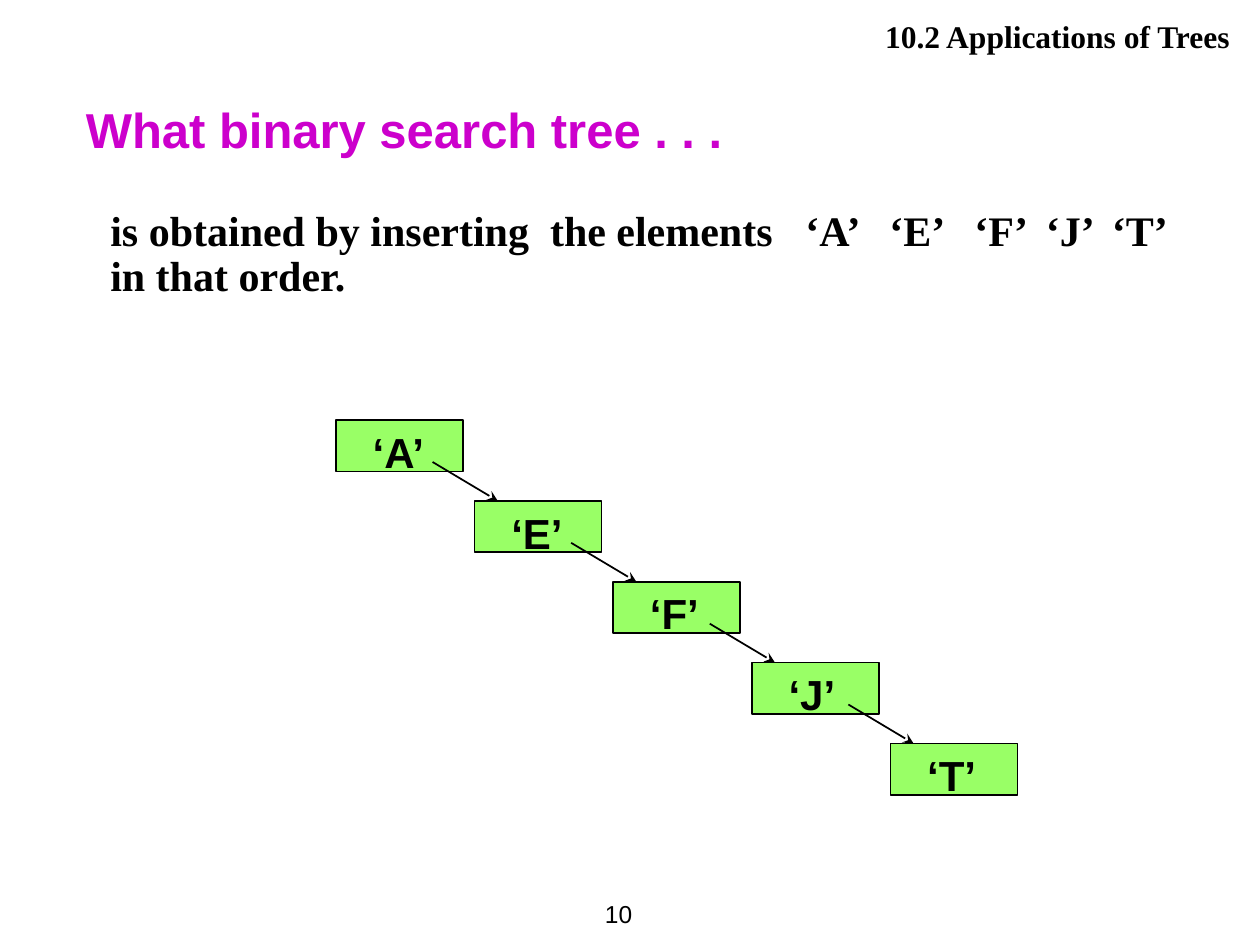
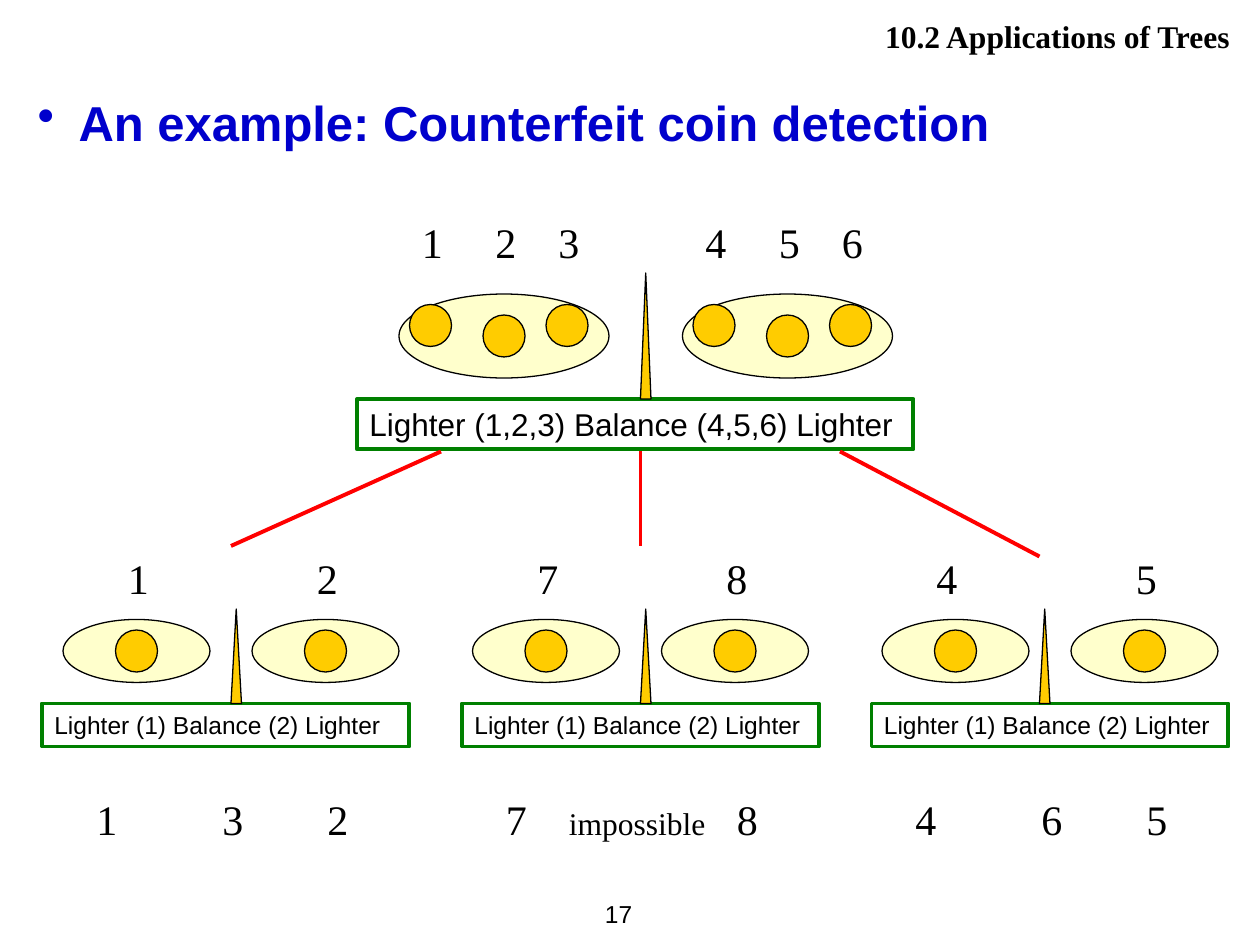
from lxml.etree import SubElement
from pptx import Presentation
from pptx.dml.color import RGBColor
from pptx.enum.shapes import MSO_CONNECTOR, MSO_SHAPE
from pptx.enum.text import MSO_ANCHOR, PP_ALIGN
from pptx.oxml.ns import qn
from pptx.util import Pt

SCALE = 7620  # EMU per px, 120 px to the inch

BLACK = RGBColor(0x00, 0x00, 0x00)
PURPLE = RGBColor(0xCC, 0x00, 0xCC)
BLUE = RGBColor(0x00, 0x00, 0xCC)
LIME = RGBColor(0x99, 0xFF, 0x66)
GREEN = RGBColor(0x00, 0x80, 0x00)
GOLD = RGBColor(0xFF, 0xCC, 0x00)
CREAM = RGBColor(0xFF, 0xFF, 0xCC)
RED = RGBColor(0xFF, 0x00, 0x00)
SANS, SERIF = "Arial", "Times New Roman"


def px(*sizes):
    return [size * SCALE for size in sizes]


def add_run(para, words, size, font=SANS, color=BLACK, bold=False):
    run = para.add_run()
    run.text = words
    run.font.size = Pt(size)
    run.font.name = font
    run.font.bold = bold
    run.font.color.rgb = color


def set_tabs(para, stops):
    tabs = SubElement(para._p.get_or_add_pPr(), qn("a:tabLst"))
    for stop in px(*stops):
        SubElement(tabs, qn("a:tab"), pos=str(stop), algn="l")


def add_text(slide, box, *runs, align=PP_ALIGN.LEFT, anchor=MSO_ANCHOR.TOP,
             tabs=()):
    frame = slide.shapes.add_textbox(*px(*box)).text_frame
    frame.word_wrap = True
    frame.vertical_anchor = anchor
    para = frame.paragraphs[0]
    para.alignment = align
    for run in runs:
        add_run(para, *run)
    if tabs:
        set_tabs(para, tabs)
    return frame


def add_form(slide, kind, box, fill, line=BLACK, width=0.75):
    form = slide.shapes.add_shape(kind, *px(*box))
    form.shadow.inherit = False
    if fill is None:
        form.fill.background()
    else:
        form.fill.solid()
        form.fill.fore_color.rgb = fill
    form.line.color.rgb = line
    form.line.width = Pt(width)
    frame = form.text_frame
    frame.word_wrap = True
    frame.vertical_anchor = MSO_ANCHOR.TOP
    frame.paragraphs[0].alignment = PP_ALIGN.LEFT
    return form


def add_line(slide, start, end, color, width, arrow=False):
    line = slide.shapes.add_connector(MSO_CONNECTOR.STRAIGHT,
                                      *px(*start, *end))
    line.line.color.rgb = color
    line.line.width = Pt(width)
    if arrow:
        SubElement(line.line._get_or_add_ln(), qn("a:tailEnd"),
                   type="stealth")
    SubElement(line._element.spPr, qn("a:effectLst"))


def add_page(deck, number):
    """Blank slide with the running header and the page number."""
    slide = deck.slides.add_slide(deck.slide_layouts[6])
    add_text(slide, (478, 10, 705, 48),
             ("10.2 Applications of Trees", 18, SERIF, BLACK, True),
             align=PP_ALIGN.RIGHT)
    add_text(slide, (534, 840, 80, 60), (number, 14),
             align=PP_ALIGN.RIGHT, anchor=MSO_ANCHOR.MIDDLE)
    return slide


def add_title(slide, box, words, color, anchor=MSO_ANCHOR.TOP, bullet=False):
    frame = add_text(slide, box, (words, 28, SANS, color, True),
                     anchor=anchor)
    if bullet:
        props = frame.paragraphs[0]._p.get_or_add_pPr()
        hang = px(39)[0]
        props.set("marL", str(hang))
        props.set("indent", str(-hang))
        SubElement(props, qn("a:buChar"), char="•")


# Tree slide
def add_task(slide, box, keys):
    style = (24, SERIF, BLACK, True)
    frame = add_text(slide, box,
                     ("is obtained by inserting  the elements", *style),
                     tabs=(662, 742, 823, 891, 954))
    frame.margin_left = px(53)[0]
    para = frame.paragraphs[0]
    para.line_spacing = 0.9
    para.space_before = Pt(6)
    for key in keys:
        add_run(para, "\t" + key, *style)
    para.add_line_break()
    add_run(para, "in that order.", *style)


def add_chain(slide, left, top, keys):
    """Nodes that step down to the right, each linked to the one before."""
    for i, key in enumerate(keys):
        x, y = left + 132 * i, top + 77 * i
        node = add_form(slide, MSO_SHAPE.RECTANGLE, (x, y, 121, 49), LIME,
                        width=1)
        frame = node.text_frame
        frame.margin_left, frame.margin_right, frame.margin_bottom = px(35, 0, 0)
        add_run(frame.paragraphs[0], key, 24, SANS, BLACK, True)
    for i in range(1, len(keys)):
        x, y = left + 132 * i, top + 77 * i
        add_line(slide, (x - 40, y - 37), (x + 22, y), BLACK, 1, arrow=True)


def tree_slide(deck):
    slide = add_page(deck, "10")
    keys = ["‘A’", "‘E’", "‘F’", "‘J’", "‘T’"]
    add_title(slide, (70, 72, 1050, 85), "What binary search tree . . .",
              PURPLE, MSO_ANCHOR.BOTTOM)
    add_task(slide, (52, 194, 1120, 127), keys)
    add_chain(slide, 320, 400, keys)


# Coin slide
def add_bar(slide, box, words, size):
    bar = add_form(slide, MSO_SHAPE.RECTANGLE, box, None, GREEN, 2.25)
    add_run(bar.text_frame.paragraphs[0], words, size)


def add_post(slide, box):
    add_form(slide, MSO_SHAPE.ISOSCELES_TRIANGLE, box, GOLD)


def add_pan(slide, box, coins, digits, rise, nudge=0):
    """Dish with coins; the digits stand above it, one over each coin."""
    x, y, wide, _ = box
    add_form(slide, MSO_SHAPE.OVAL, box, CREAM)
    for dx, dy in coins:
        add_form(slide, MSO_SHAPE.OVAL, (x + dx, y + dy, 40, 40), GOLD)
    first = coins[0][0]
    add_text(slide, (x + first + nudge, y - rise, wide - first, 60),
             ("\t".join(digits), 24, SERIF),
             tabs=[dx - first for dx, _ in coins[1:]])


def first_weigh(slide, left, top):
    add_bar(slide, (left, top + 180, 530, 48),
            "Lighter (1,2,3) Balance (4,5,6) Lighter", 18)
    add_post(slide, (left + 270, top + 60, 10, 120))
    for dx, digits in ((40, "123"), (310, "456")):
        add_pan(slide, (left + dx, top + 80, 200, 80),
                [(10, 10), (80, 20), (140, 10)], digits, 80)


def next_weigh(slide, left, top, bar, post, digits, nudge):
    """Second weighing; bar is (offset, width), post an offset from left."""
    add_bar(slide, (left + bar[0], top + 150, bar[1], 41),
            "Lighter (1) Balance (2) Lighter", 14)
    add_post(slide, (left + post, top + 60, 10, 90))
    for i, digit in enumerate(digits):
        add_pan(slide, (left + 180 * i, top + 70, 140, 60), [(50, 10)],
                digit, 70, 0 if i else nudge)


def add_result(slide, left, top, low, even, high):
    plain = len(even) == 1
    add_text(slide, (left, top, 280, 60), (low, 24, SERIF),
             ("\t" + even, 24 if plain else 18, SERIF),
             ("\t" + high, 24, SERIF), tabs=(120 if plain else 60, 220))


def coin_slide(deck):
    slide = add_page(deck, "17")
    add_title(slide, (24, 82, 1080, 92),
              "An example: Counterfeit coin detection", BLUE, bullet=True)
    first_weigh(slide, 340, 200)
    cases = [((-20, 350), 160, "12", 0, "3"),
             ((-10, 340), 160, "78", 0, "impossible"),
             ((-10, 340), 150, "45", -10, "6")]
    for i, (bar, post, digits, nudge, even) in enumerate(cases):
        left = 60 + 390 * i
        next_weigh(slide, left, 520, bar, post, digits, nudge)
        add_result(slide, left + 20, 750, digits[0], even, digits[1])
    # Branches
    for start, end in (((420, 430), (220, 520)), ((610, 430), (610, 520)),
                       ((800, 430), (990, 530))):
        add_line(slide, start, end, RED, 2.25)


def main():
    deck = Presentation()
    deck.slide_width, deck.slide_height = px(1200, 900)
    tree_slide(deck)
    coin_slide(deck)
    deck.save("out.pptx")


if __name__ == "__main__":
    main()
